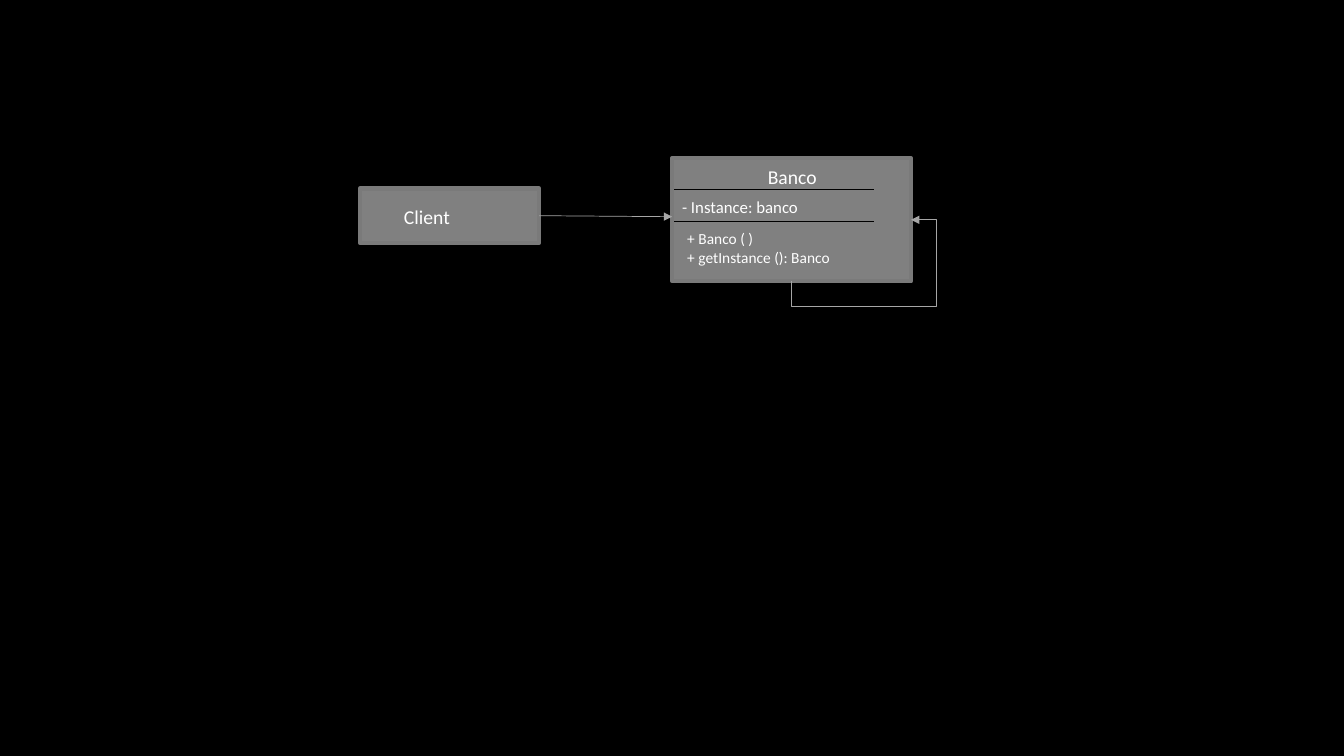
from dataclasses import dataclass

from lxml import etree
from pptx import Presentation
from pptx.dml.color import RGBColor
from pptx.enum.shapes import MSO_CONNECTOR, MSO_SHAPE
from pptx.enum.text import MSO_AUTO_SIZE
from pptx.oxml.ns import qn
from pptx.util import Cm, Pt

STRAIGHT = MSO_CONNECTOR.STRAIGHT
ELBOW = MSO_CONNECTOR.ELBOW
RECTANGLE = MSO_SHAPE.RECTANGLE
GROW = MSO_AUTO_SIZE.SHAPE_TO_FIT_TEXT
BOTTOM, RIGHT = 2, 3


@dataclass(frozen=True)
class Theme:
    font: str = "Calibri"
    background: RGBColor = RGBColor(0x00, 0x00, 0x00)
    box: RGBColor = RGBColor(0x80, 0x80, 0x80)
    border: RGBColor = RGBColor(0x7A, 0x7A, 0x7A)
    divider: RGBColor = RGBColor(0x00, 0x00, 0x00)
    arrow: RGBColor = RGBColor(0xA6, 0xA6, 0xA6)
    text: RGBColor = RGBColor(0xFF, 0xFF, 0xFF)
    name_size: Pt = Pt(14)
    attribute_size: Pt = Pt(12)
    method_size: Pt = Pt(11)
    border_width: Pt = Pt(3)
    line_width: Pt = Pt(0.5)


THEME = Theme()


def add_class_box(slide, left, top, width, height):
    box = slide.shapes.add_shape(RECTANGLE, Cm(left), Cm(top), Cm(width), Cm(height))
    box.shadow.inherit = False
    box.fill.solid()
    box.fill.fore_color.rgb = THEME.box
    box.line.color.rgb = THEME.border
    box.line.width = THEME.border_width
    return box


def add_label(slide, left, top, width, height, lines, size):
    label = slide.shapes.add_textbox(Cm(left), Cm(top), Cm(width), Cm(height))
    frame = label.text_frame
    frame.word_wrap = False
    frame.auto_size = GROW
    for index, line in enumerate(lines):
        paragraph = frame.add_paragraph() if index else frame.paragraphs[0]
        run = paragraph.add_run()
        run.text = line
        run.font.name = THEME.font
        run.font.size = size
        run.font.color.rgb = THEME.text


def add_line(slide, kind, start, end, color):
    line = slide.shapes.add_connector(kind, *start, *end)
    line.line.color.rgb = color
    line.line.width = THEME.line_width
    etree.SubElement(line._element.spPr, qn("a:effectLst"))
    return line


def add_arrow(slide, kind, start, end):
    arrow = add_line(slide, kind, start, end, THEME.arrow)
    outline = arrow._element.spPr.find(qn("a:ln"))
    etree.SubElement(outline, qn("a:tailEnd"), type="triangle")
    return arrow


def add_self_reference(slide, box, overhang):
    rise, reach = box.height // 2, box.width // 2
    start = (box.left + reach, box.top + box.height)
    end = (box.left + box.width, box.top + rise)
    loop = add_arrow(slide, ELBOW, start, end)
    loop.begin_connect(box, BOTTOM)
    loop.end_connect(box, RIGHT)

    loop.left = (start[0] + end[0] - rise) // 2
    loop.top = (start[1] + end[1] - reach) // 2
    loop.width, loop.height = rise, reach
    properties = loop._element.spPr
    transform = properties.find(qn("a:xfrm"))
    for name, value in (("rot", "5400000"), ("flipH", "1"), ("flipV", "1")):
        transform.set(name, value)

    geometry = properties.find(qn("a:prstGeom"))
    geometry.set("prst", "bentConnector4")
    guides = geometry.find(qn("a:avLst"))
    bends = (-overhang / rise, 1 + overhang / reach)
    for number, bend in enumerate(bends, start=1):
        formula = f"val {round(bend * 100000)}"
        etree.SubElement(guides, qn("a:gd"), name=f"adj{number}", fmla=formula)


def main():
    presentation = Presentation()
    presentation.slide_width = Cm(33.87)
    presentation.slide_height = Cm(19.05)
    slide = presentation.slides.add_slide(presentation.slide_layouts[6])
    slide.background.fill.solid()
    slide.background.fill.fore_color.rgb = THEME.background

    banco = add_class_box(slide, 16.94, 3.99, 6.02, 3.1)
    for height in (4.78, 5.59):
        add_line(slide, STRAIGHT, (Cm(16.99), Cm(height)),
                 (Cm(22.02), Cm(height)), THEME.divider)
    add_label(slide, 19.1, 4.04, 1.75, 0.86, ["Banco"], THEME.name_size)
    add_label(slide, 16.94, 4.83, 3.45, 1.27, ["- Instance: banco"],
              THEME.attribute_size)
    add_label(slide, 17.07, 5.66, 4.14, 1.19,
              ["+ Banco ( )", "+ getInstance (): Banco"], THEME.method_size)

    client = add_class_box(slide, 9.07, 4.75, 4.52, 1.37)
    add_label(slide, 9.93, 5.03, 1.68, 0.86, ["Client"], THEME.name_size)

    usage = add_arrow(slide, STRAIGHT, (Cm(13.59), Cm(5.44)), (banco.left, Cm(5.46)))
    usage.begin_connect(client, RIGHT)
    add_self_reference(slide, banco, Cm(0.64))

    presentation.save("out.pptx")


if __name__ == "__main__":
    main()
